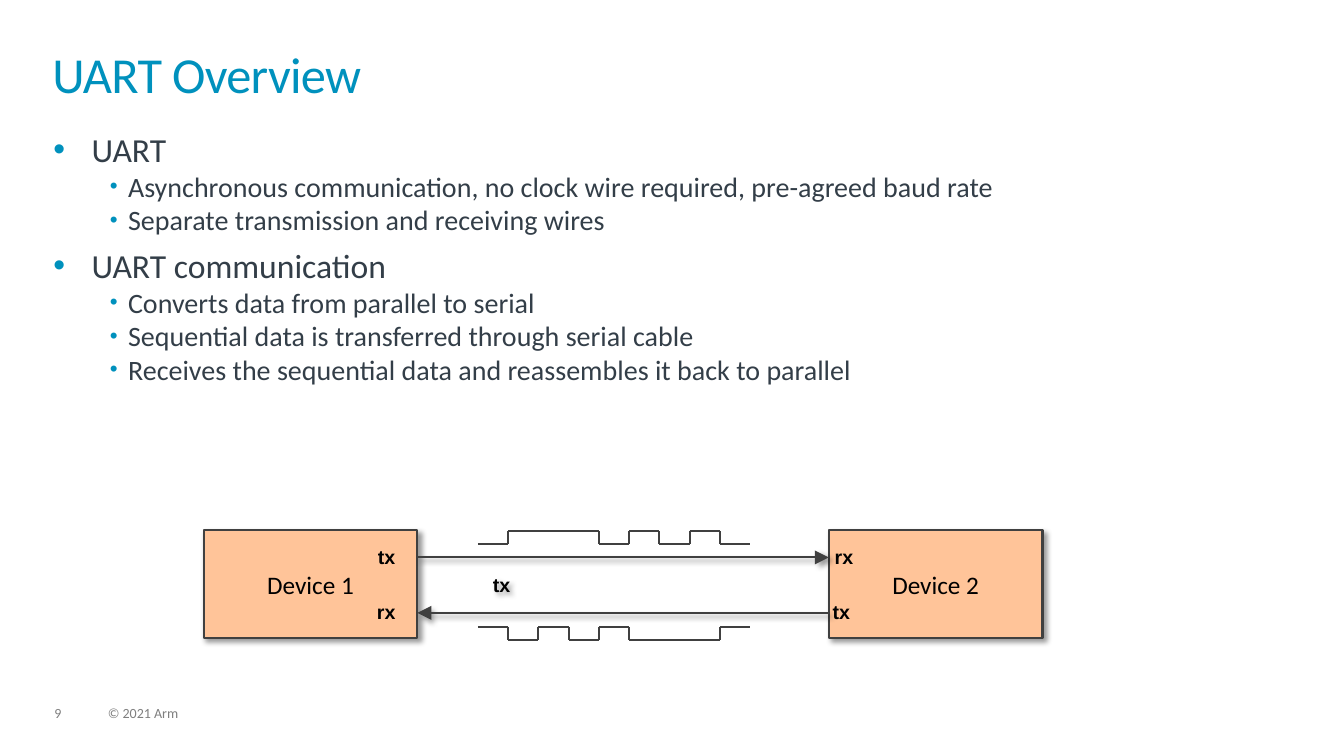
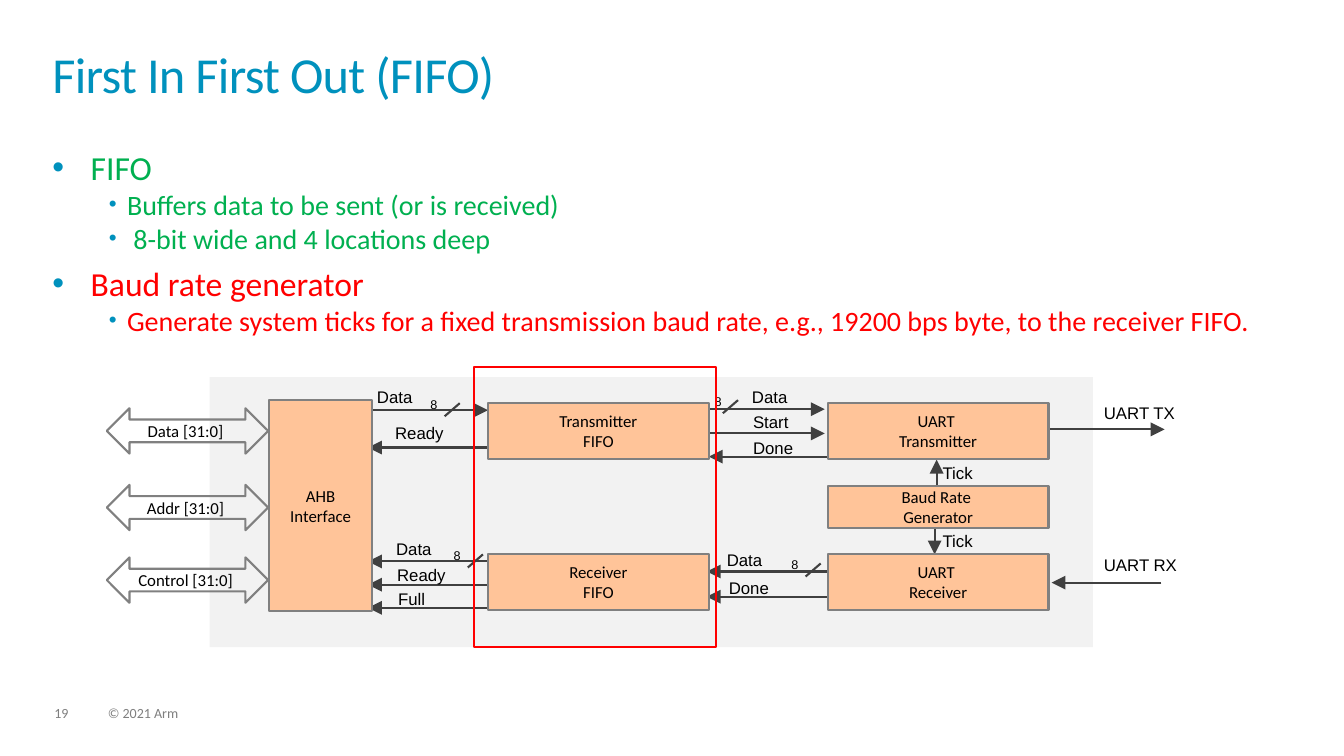
"""Build two UART teaching slides: an overview and a FIFO block diagram."""
import itertools

import pptx
import pptx.dml.color
import pptx.enum.shapes
import pptx.enum.text
import pptx.oxml.ns
import pptx.util
from lxml import etree

Inches = pptx.util.Inches
Pt = pptx.util.Pt
RGBColor = pptx.dml.color.RGBColor
SHAPE = pptx.enum.shapes.MSO_SHAPE
ALIGN = pptx.enum.text.PP_ALIGN
ANCHOR = pptx.enum.text.MSO_ANCHOR
AUTO_SIZE = pptx.enum.text.MSO_AUTO_SIZE
qn = pptx.oxml.ns.qn

BLUE = RGBColor(0x00, 0x91, 0xBD)
SLATE = RGBColor(0x33, 0x3E, 0x48)
GREEN = RGBColor(0x00, 0xB0, 0x50)
RED = RGBColor(0xFF, 0x00, 0x00)
BLACK = RGBColor(0x00, 0x00, 0x00)
DARK = RGBColor(0x40, 0x40, 0x40)
GRAY = RGBColor(0x80, 0x80, 0x80)
FOOTER_GRAY = RGBColor(0x7F, 0x7F, 0x7F)
PANEL = RGBColor(0xF2, 0xF2, 0xF2)
PEACH = RGBColor(0xFF, 0xC4, 0x99)

COPYRIGHT = "© 2021 Arm"
OVERVIEW_BULLETS = [
    ("UART", SLATE, [
        "Asynchronous communication, no clock wire required, pre-agreed baud rate",
        "Separate transmission and receiving wires"]),
    ("UART communication", SLATE, [
        "Converts data from parallel to serial",
        "Sequential data is transferred through serial cable",
        "Receives the sequential data and reassembles it back to parallel"]),
]
FIFO_BULLETS = [
    ("FIFO", GREEN, [
        "Buffers data to be sent (or is received)",
        " 8-bit wide and 4 locations deep"]),
    ("Baud rate generator", RED, [
        "Generate system ticks for a fixed transmission baud rate, e.g., "
        "19200 bps byte, to the receiver FIFO."]),
]

DEVICES = [("Device 1", 2.02), ("Device 2", 8.22)]
DEVICE_TOP, DEVICE_WIDTH, DEVICE_HEIGHT = 5.26, 2.12, 1.07
WIRES = [(4.14, 5.53, 8.22, 5.53), (8.22, 6.08, 4.14, 6.08)]
SIGNALS = [("011101010", 5.27), ("101010001", 6.22)]
SIGNAL_LEFT, BIT_WIDTH, BIT_HEIGHT = 4.74, 0.3, 0.13
PIN_LABELS = [("tx", 3.65, 5.36), ("rx", 3.64, 5.9), ("rx", 8.18, 5.36), ("tx", 8.16, 5.9)]

BLOCK_WIDTH, BLOCK_HEIGHT = 2.19, 0.55
FIFO_LEFT, UART_LEFT = 4.84, 8.21
TRANSMIT_TOP, RECEIVE_TOP = 4, 5.5
BLOCKS = [
    ("UART \nTransmitter", UART_LEFT, TRANSMIT_TOP, BLOCK_WIDTH, BLOCK_HEIGHT),
    ("UART \nReceiver", UART_LEFT, RECEIVE_TOP, BLOCK_WIDTH, BLOCK_HEIGHT),
    ("Baud Rate \nGenerator", UART_LEFT, 4.82, BLOCK_WIDTH, 0.42),
    ("Transmitter\nFIFO", FIFO_LEFT, TRANSMIT_TOP, BLOCK_WIDTH, BLOCK_HEIGHT),
    ("Receiver\nFIFO", FIFO_LEFT, RECEIVE_TOP, BLOCK_WIDTH, BLOCK_HEIGHT),
    ("AHB\nInterface", 2.67, 3.97, 1.02, 2.09),
]
HORIZONTAL_ARROWS = [
    (10.4, 11.55, [4.26]),
    (11.52, 10.43, [5.78]),
    (7.03, 8.18, [4.06, 4.3]),
    (8.23, 7.03, [4.53]),
    (8.21, 7.01, [5.67, 5.92]),
    (3.69, 4.84, [4.07]),
    (4.84, 3.65, [4.44, 5.57, 5.8, 6.03]),
]
TICK_ARROWS = [(9.29, 4.81, 9.29, 4.56), (9.27, 5.24, 9.27, 5.5)]
SIGNAL_LABELS = [
    ("UART TX", 10.85, 3.95), ("UART RX", 10.85, 5.45),
    ("Data", 7.36, 3.79), ("Start", 7.37, 4.04), ("Done", 7.37, 4.29),
    ("Tick", 9.25, 4.54), ("Tick", 9.25, 5.22),
    ("Data", 3.64, 3.79), ("Ready", 3.82, 4.14),
    ("Data", 7.11, 5.4), ("Done", 7.13, 5.68),
    ("Data", 3.83, 5.3), ("Ready", 3.84, 5.55), ("Full", 3.85, 5.79),
]
BUS_WIDTH_MARKS = [(7.17, 4.1, 6.99), (7.99, 5.72, 7.75), (4.41, 4.13, 4.17), (4.64, 5.63, 4.4)]
BUSES = [("Data [31:0] ", 4.05), ("Addr [31:0] ", 4.81), ("Control [31:0] ", 5.53)]


def inches(*values):
    return [Inches(value) for value in values]


def set_font(paragraph, name, size, color, bold=False):
    font = paragraph.font
    font.name, font.size, font.bold = name, Pt(size), bold
    font.color.rgb = color


def set_effects(shape, shadowed=False):
    effects = etree.SubElement(shape.element.spPr, qn("a:effectLst"))
    if shadowed:
        shadow = etree.SubElement(
            effects, qn("a:outerShdw"), blurRad=str(Pt(4)), dist=str(Pt(3)),
            dir="2700000", algn="tl", rotWithShape="0")
        color = etree.SubElement(shadow, qn("a:srgbClr"), val="000000")
        etree.SubElement(color, qn("a:alpha"), val="40000")


def remove_insets(frame):
    frame.margin_left = frame.margin_right = frame.margin_top = frame.margin_bottom = 0


def add_label(slide, text, left, top, width=1.39, height=0.3, size=12, bold=False, shadowed=False):
    box = slide.shapes.add_textbox(*inches(left, top, width, height))
    box.text_frame.word_wrap = True
    paragraph = box.text_frame.paragraphs[0]
    paragraph.text = text
    set_font(paragraph, "Arial", size, BLACK, bold)
    if shadowed:
        set_effects(box, True)


def add_block(slide, text, bounds, kind=SHAPE.RECTANGLE, fill=PEACH, line=GRAY, size=12,
              shadowed=False):
    shape = slide.shapes.add_shape(kind, *inches(*bounds))
    if fill is None:
        shape.fill.background()
    else:
        shape.fill.solid()
        shape.fill.fore_color.rgb = fill
    if line is None:
        shape.line.fill.background()
    else:
        shape.line.color.rgb = line
        shape.line.width = Pt(1.5)
    set_effects(shape, shadowed)
    if text:
        frame = shape.text_frame
        frame.text = text
        frame.word_wrap = False
        frame.vertical_anchor = ANCHOR.MIDDLE
        for paragraph in frame.paragraphs:
            paragraph.alignment = ALIGN.CENTER
            set_font(paragraph, "Calibri", size, BLACK)


def add_line(parent, ends, arrow=True, shadowed=False):
    connector = parent.shapes.add_connector(
        pptx.enum.shapes.MSO_CONNECTOR.STRAIGHT, *inches(*ends))
    connector.line.color.rgb = DARK
    connector.line.width = Pt(1.5)
    if arrow:
        outline = connector.element.spPr.find(qn("a:ln"))
        etree.SubElement(outline, qn("a:tailEnd"), type="triangle", w="lg", len="lg")
    set_effects(connector, shadowed)


def add_signal(slide, bits, top):
    group = slide.shapes.add_group_shape()
    left = SIGNAL_LEFT
    for bit, run in itertools.groupby(bits):
        level = top if bit == "1" else top + BIT_HEIGHT
        if left > SIGNAL_LEFT:
            add_line(group, (left, top, left, top + BIT_HEIGHT), arrow=False)
        right = left + BIT_WIDTH * len(list(run))
        add_line(group, (left, level, right, level), arrow=False)
        left = right


def add_bullet(paragraph, text, level, color):
    paragraph.text = text
    paragraph.level = level
    margin, hanging, size = [(0.38, 0.38, 24), (0.74, 0.18, 20)][level]
    properties = paragraph._p.get_or_add_pPr()
    properties.set("marL", str(Inches(margin)))
    properties.set("indent", str(-Inches(hanging)))
    bullet_color = etree.SubElement(properties, qn("a:buClr"))
    etree.SubElement(bullet_color, qn("a:srgbClr"), val=str(BLUE))
    etree.SubElement(properties, qn("a:buSzPct"), val="80000" if level else "100000")
    etree.SubElement(properties, qn("a:buFont"), typeface="Arial")
    etree.SubElement(properties, qn("a:buChar"), char="•")
    paragraph.alignment = ALIGN.LEFT
    set_font(paragraph, "Calibri", size, color)


def fill_body(body, bullets, left, top):
    body.left, body.top, body.width, body.height = inches(left, top, 12.23, 4.47)
    frame = body.text_frame
    remove_insets(frame)
    frame.auto_size = AUTO_SIZE.NONE
    rows = [row for heading, color, items in bullets
            for row in [(heading, 0, color)] + [(item, 1, color) for item in items]]
    for index, row in enumerate(rows):
        paragraph = frame.add_paragraph() if index else frame.paragraphs[0]
        add_bullet(paragraph, *row)
        paragraph.space_before = Pt(6 if index and row[1] == 0 else 0)


def add_slide(presentation, number, title_text, bullets, body_left, body_top):
    slide = presentation.slides.add_slide(presentation.slide_layouts[1])
    title = slide.shapes.title
    title.left, title.top, title.width, title.height = inches(0.52, 0.52, 12.28, 0.72)
    frame = title.text_frame
    remove_insets(frame)
    frame.auto_size = AUTO_SIZE.NONE
    frame.vertical_anchor = ANCHOR.TOP
    paragraph = frame.paragraphs[0]
    paragraph.text = title_text
    paragraph.alignment = ALIGN.LEFT
    paragraph.line_spacing = 0.85
    set_font(paragraph, "Calibri", 36, BLUE)
    paragraph.runs[0]._r.get_or_add_rPr().set("spc", "-50")
    fill_body(slide.placeholders[1], bullets, body_left, body_top)
    for text, left, width in [(str(number), 0.54, 0.34), (COPYRIGHT, 1.07, 5.07)]:
        footer = slide.shapes.add_textbox(*inches(left, 7.01, width, 0.15))
        remove_insets(footer.text_frame)
        footer.text_frame.word_wrap = True
        paragraph = footer.text_frame.paragraphs[0]
        paragraph.text = text
        paragraph.line_spacing = 0.9
        set_font(paragraph, "Calibri", 10, FOOTER_GRAY)
    return slide


def build_overview(presentation):
    slide = add_slide(presentation, 9, "UART Overview", OVERVIEW_BULLETS, 0.53, 1.28)
    for name, left in DEVICES:
        add_block(slide, name, (left, DEVICE_TOP, DEVICE_WIDTH, DEVICE_HEIGHT),
                  line=DARK, size=18, shadowed=True)
    for wire in WIRES:
        add_line(slide, wire, shadowed=True)
    for bits, top in SIGNALS:
        add_signal(slide, bits, top)
    for text, left, top in PIN_LABELS:
        add_label(slide, text, left, top, 0.75, 0.34, 14, True)
    add_label(slide, "tx", 4.79, 5.63, 0.75, 0.34, 14, True, shadowed=True)


def build_fifo(presentation):
    slide = add_slide(presentation, 19, "First In First Out (FIFO)", FIFO_BULLETS, 0.52, 1.46)
    add_block(slide, "", (2.08, 3.74, 8.76, 2.68), fill=PANEL, line=None)
    for start, end, levels in HORIZONTAL_ARROWS:
        for level in levels:
            add_line(slide, (start, level, end, level))
    for ends in TICK_ARROWS:
        add_line(slide, ends)
    for text, *bounds in BLOCKS:
        add_block(slide, text, bounds)
    for text, left, top in SIGNAL_LABELS:
        add_label(slide, text, left, top)
    for left, bottom, label_left in BUS_WIDTH_MARKS:
        add_line(slide, (left, bottom, left + 0.15, bottom - 0.13), arrow=False)
        add_label(slide, "8", label_left, bottom - 0.24, 0.56, 0.25, 9)
    for text, top in BUSES:
        add_block(slide, text, (1.06, top, 1.6, 0.45), SHAPE.LEFT_RIGHT_ARROW, fill=None)
    add_block(slide, "", (4.7, 3.64, 2.4, 2.78), fill=None, line=RED)


def main():
    presentation = pptx.Presentation()
    presentation.slide_width, presentation.slide_height = inches(13.33, 7.5)
    build_overview(presentation)
    build_fifo(presentation)
    presentation.save("out.pptx")


if __name__ == "__main__":
    main()
